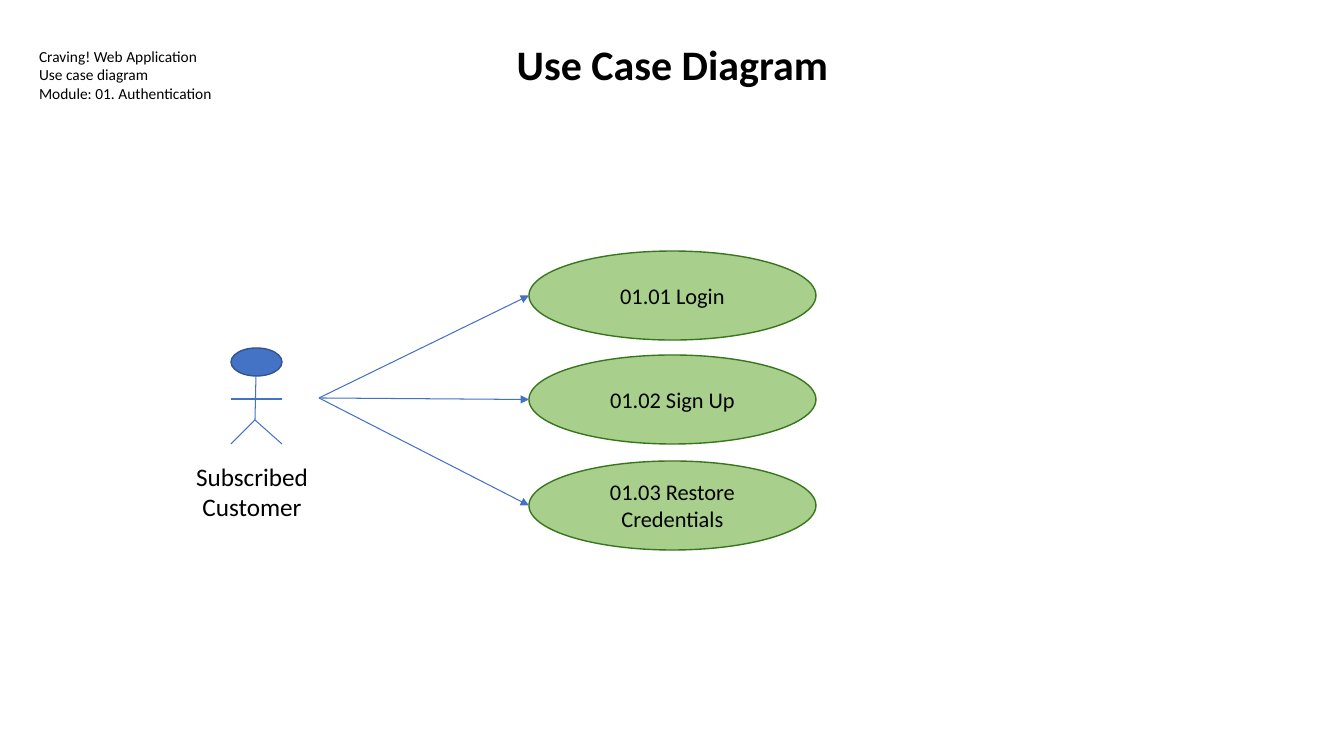
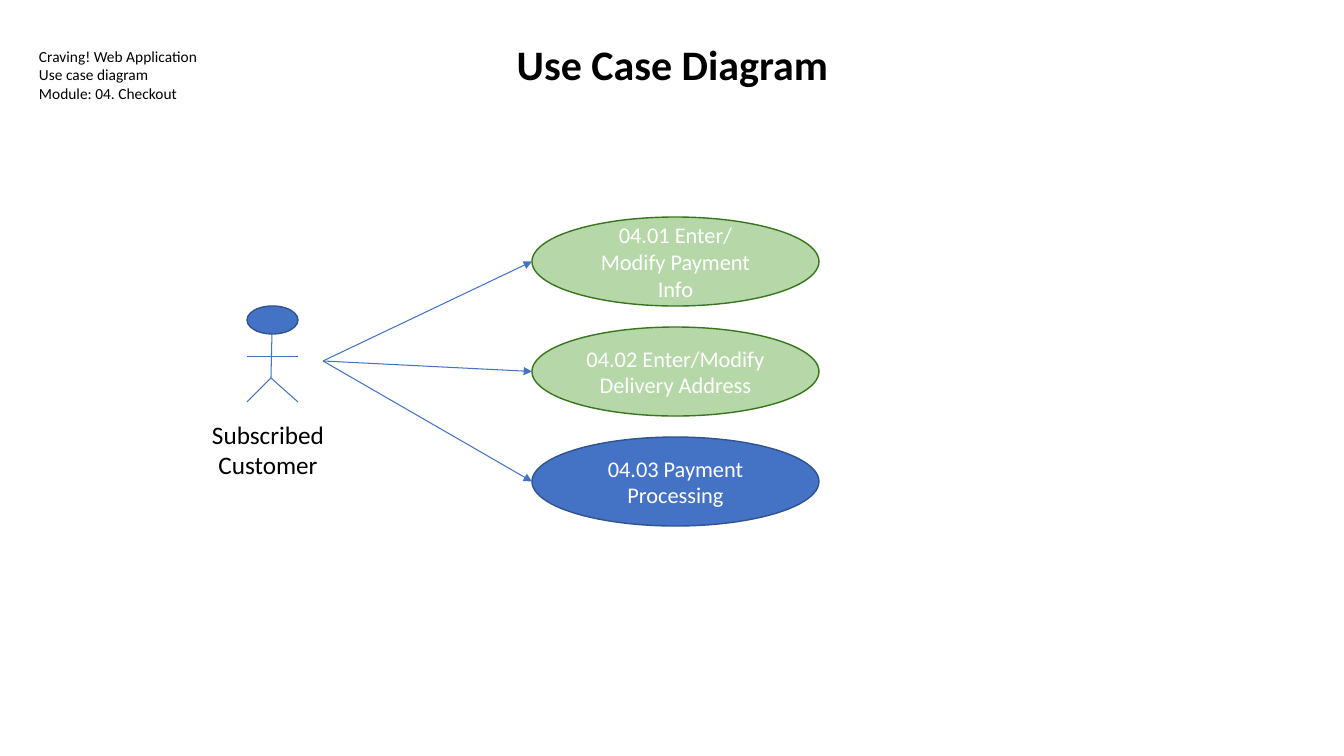
from pptx import Presentation
from pptx.dml.color import RGBColor
from pptx.enum.shapes import MSO_CONNECTOR, MSO_SHAPE
from pptx.enum.text import MSO_ANCHOR, MSO_AUTO_SIZE, PP_ALIGN
from pptx.oxml.ns import qn
from pptx.util import Emu, Pt
from lxml import etree

OVAL = MSO_SHAPE.OVAL
STRAIGHT = MSO_CONNECTOR.STRAIGHT
LEFT, CENTER = PP_ALIGN.LEFT, PP_ALIGN.CENTER
TOP, MIDDLE = MSO_ANCHOR.TOP, MSO_ANCHOR.MIDDLE
TITLE_ONLY = 5
OVAL_LEFT_SITE = 2

# Shared style
EMU_PER_PIXEL = 914400 / 100.8
FONT = "Calibri"
BLACK, WHITE = "000000", "FFFFFF"
BLUE, BLUE_EDGE = "4472C4", "31538F"
GREEN, PALE_GREEN, GREEN_EDGE = "A8D08C", "B6D7A8", "38761D"
CASE_WIDTH, CASE_HEIGHT = 287, 89
HEAD_WIDTH, HEAD_HEIGHT = 51, 28

# Content: each case is its label, top, fill, outline and text colour
DIAGRAMS = [
    {
        "module": "Module: 01. Authentication",
        "module_width": 201,
        "actor": (231, 348),
        "arrow_start": (319, 398),
        "cases_left": 529,
        "cases": [
            ("01.01 Login", 251, GREEN, GREEN_EDGE, BLACK),
            ("01.02 Sign Up", 355, GREEN, GREEN_EDGE, BLACK),
            ("01.03 Restore Credentials", 461, GREEN, GREEN_EDGE, BLACK),
        ],
    },
    {
        "module": "Module: 04. Checkout",
        "module_width": 280,
        "actor": (247, 306),
        "arrow_start": (323, 361),
        "cases_left": 532,
        "cases": [
            ("04.01 Enter/ Modify Payment Info", 217, PALE_GREEN, GREEN_EDGE, WHITE),
            ("04.02 Enter/Modify Delivery Address", 327, PALE_GREEN, GREEN_EDGE, WHITE),
            ("04.03 Payment Processing", 437, BLUE, BLUE_EDGE, WHITE),
        ],
    },
]


def px(pixels):
    return Emu(round(pixels * EMU_PER_PIXEL))


def color(hex_code):
    return RGBColor.from_string(hex_code)


def write(shape, lines, size, ink=BLACK, bold=False, align=CENTER, anchor=TOP, pad=5):
    """Fill a shape with one paragraph per line."""
    frame = shape.text_frame
    frame.word_wrap = True
    frame.auto_size = MSO_AUTO_SIZE.NONE
    frame.vertical_anchor = anchor
    frame.margin_left = frame.margin_right = px(10)
    frame.margin_top = frame.margin_bottom = px(pad)
    for index, line in enumerate(lines):
        paragraph = frame.add_paragraph() if index else frame.paragraphs[0]
        paragraph.alignment = align
        run = paragraph.add_run()
        run.text = line
        run.font.name = FONT
        run.font.size = Pt(size)
        run.font.bold = bold
        run.font.color.rgb = color(ink)


def add_text(slide, box, lines, size, **style):
    write(slide.shapes.add_textbox(*map(px, box)), lines, size, **style)


def add_oval(slide, box, fill, edge):
    oval = slide.shapes.add_shape(OVAL, *map(px, box))
    oval.shadow.inherit = False
    oval.fill.solid()
    oval.fill.fore_color.rgb = color(fill)
    oval.line.color.rgb = color(edge)
    oval.line.width = Pt(1)
    return oval


def add_line(slide, start, end):
    line = slide.shapes.add_connector(STRAIGHT, *map(px, (*start, *end)))
    line.line.color.rgb = color(BLUE)
    line.line.width = Pt(0.75)
    etree.SubElement(line._element.spPr, qn("a:effectLst"))
    return line


def add_arrow(slide, start, case):
    """Draw an arrow to the left tip of a use case and attach it there."""
    arrow = add_line(slide, start, start)
    arrow.end_connect(case, OVAL_LEFT_SITE)
    arrow.end_x = case.left
    arrow.end_y = case.top + case.height // 2
    etree.SubElement(arrow.line._get_or_add_ln(), qn("a:tailEnd"), type="triangle")


def add_actor(slide, left, top):
    right = left + HEAD_WIDTH
    neck, hip = (left + 25, top + HEAD_HEIGHT), (left + 24, top + 72)
    arms, feet = top + 51, top + 96
    add_oval(slide, (left, top, HEAD_WIDTH, HEAD_HEIGHT), BLUE, BLUE_EDGE)
    add_line(slide, neck, hip)
    add_line(slide, (left, arms), (right, arms))
    for foot in (left, right):
        add_line(slide, hip, (foot, feet))
    add_text(slide, (left - 46, top + 108, 134, 72), ["Subscribed", "Customer"], 18)


def add_title(slide):
    title = slide.shapes.title
    title.left, title.top, title.width, title.height = map(px, (489, 28, 367, 72))
    write(title, ["Use Case Diagram"], 30, bold=True, pad=10)


def add_diagram(deck, diagram):
    slide = deck.slides.add_slide(deck.slide_layouts[TITLE_ONLY])

    # Heading
    add_title(slide)
    add_text(slide, (29, 37, diagram["module_width"], 96),
             ["Craving! Web Application", "Use case diagram", diagram["module"]],
             11, align=LEFT, pad=10)

    # Actor and use cases
    add_actor(slide, *diagram["actor"])
    for label, top, fill, edge, ink in diagram["cases"]:
        box = (diagram["cases_left"], top, CASE_WIDTH, CASE_HEIGHT)
        case = add_oval(slide, box, fill, edge)
        write(case, [label], 16, ink=ink, anchor=MIDDLE)
        add_arrow(slide, diagram["arrow_start"], case)


def main():
    deck = Presentation()
    deck.slide_width, deck.slide_height = px(1344), px(756)
    for diagram in DIAGRAMS:
        add_diagram(deck, diagram)
    deck.save("out.pptx")


main()
